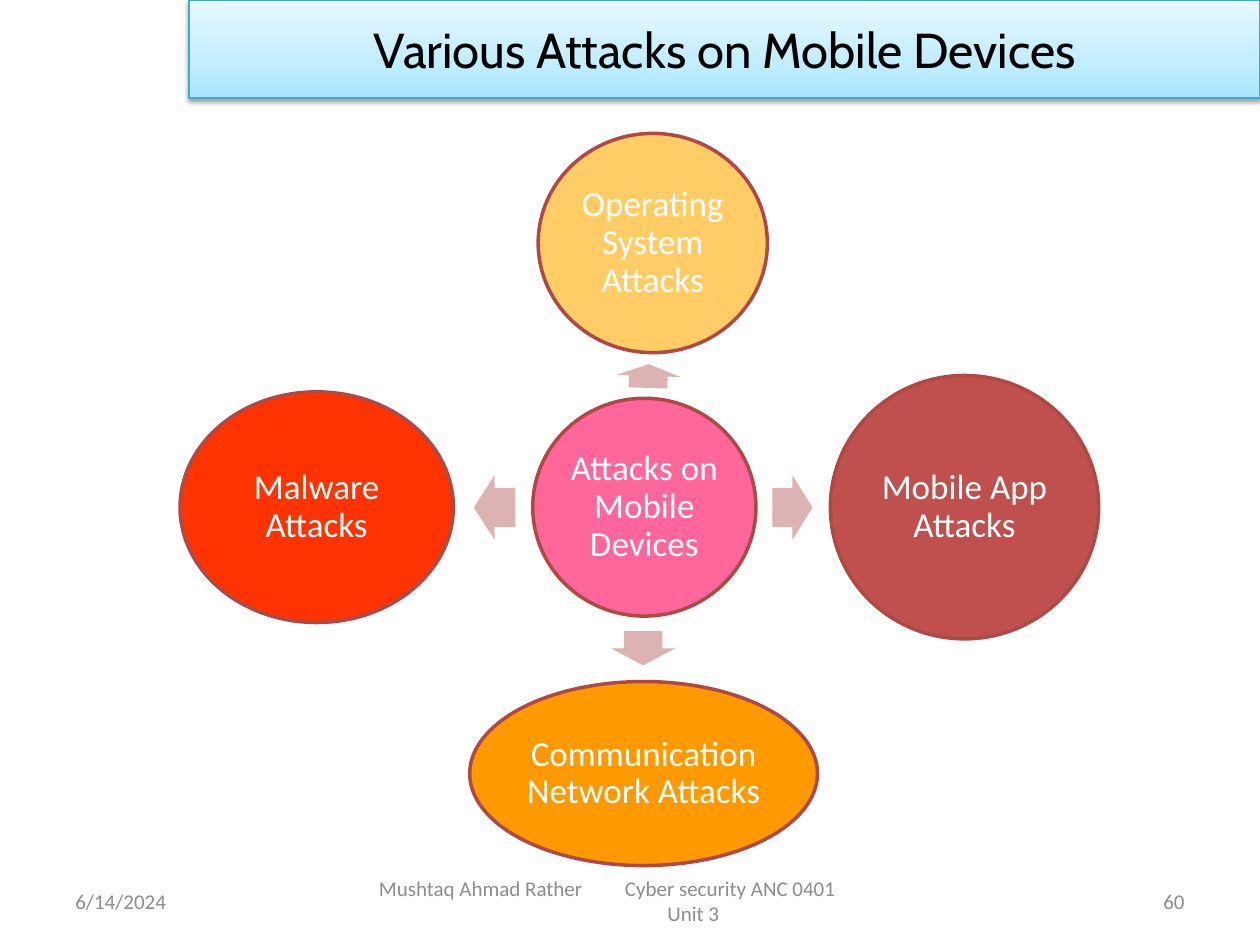
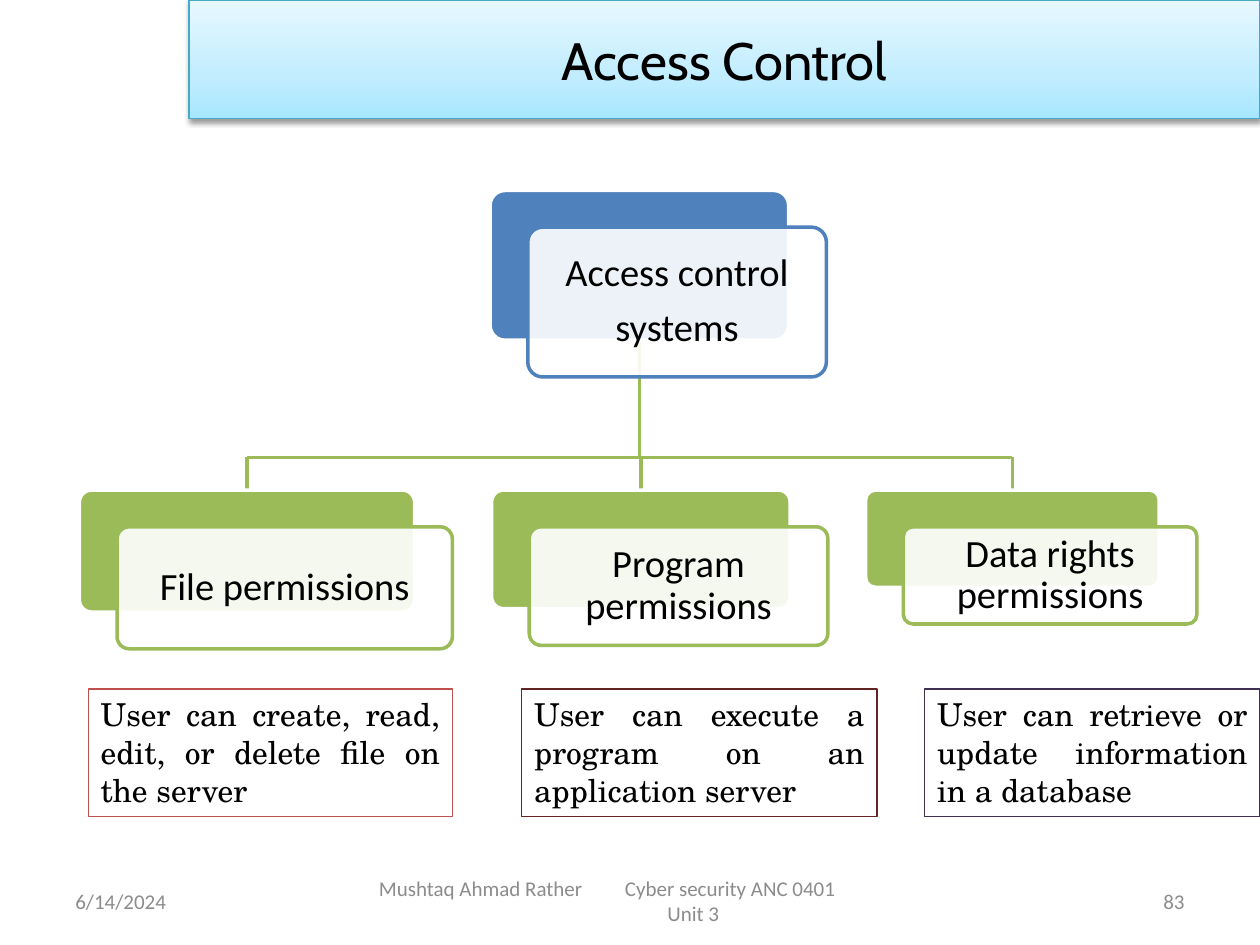
from pptx import Presentation
from pptx.dml.color import RGBColor
from pptx.enum.shapes import MSO_CONNECTOR as Link, MSO_SHAPE as Kind
from pptx.enum.text import MSO_ANCHOR as Anchor, MSO_AUTO_SIZE as Fit, PP_ALIGN as Align
from pptx.oxml import parse_xml
from pptx.oxml.ns import nsdecls, qn
from pptx.util import Cm, Pt

BODY, HEAD, SERIF = "Calibri", "Cabin", "TeX Gyre Schola"
BLACK, WHITE, GREY = "000000", "FFFFFF", "8C8C8C"
BLUE, GREEN, RIM, ARROW, EDGE = "4F81BD", "9BBB59", "AE4946", "DCB3B2", "46AAC5"
SKY = [(0, "A7E6FF"), (35, "C1EDFF"), (100, "E7F8FF")]


def rgb(code):
    """Turn a hex string into a colour."""
    return RGBColor.from_string(code)


def xml(tag, inner):
    """Make a drawing element with the given content."""
    return parse_xml(f"<a:{tag} {nsdecls('a')}>{inner}</a:{tag}>")


def write(shape, lines, size, color, font=BODY, align=Align.CENTER,
          anchor=Anchor.MIDDLE, inset=None, tight=False):
    """Fill a shape with one paragraph per line."""
    frame = shape.text_frame
    frame.word_wrap = True
    frame.vertical_anchor = anchor
    if inset is not None:
        frame.margin_left = frame.margin_right = Cm(inset)
        frame.margin_top = frame.margin_bottom = Cm(inset)
    for i, line in enumerate(lines):
        para = frame.add_paragraph() if i else frame.paragraphs[0]
        para.alignment = align
        if tight:
            para.line_spacing = 0.9
            para.space_after = Pt(size * 0.35)
        run = para.add_run()
        run.text = line
        run.font.size = Pt(size)
        run.font.name = font
        run.font.color.rgb = rgb(color)
    return frame


def draw(slide, kind, box, fill=None, line=None, width=2, adj=(), turn=0):
    """Add a flat preset shape, with its box in centimetres."""
    shape = slide.shapes.add_shape(kind, *map(Cm, box))
    shape.shadow.inherit = False
    shape.rotation = turn
    for i, value in enumerate(adj):
        shape.adjustments[i] = value
    if fill:
        shape.fill.solid()
        shape.fill.fore_color.rgb = rgb(fill)
    else:
        shape.fill.background()
    if line:
        shape.line.color.rgb = rgb(line)
        shape.line.width = Pt(width)
    else:
        shape.line.fill.background()
    return shape


def band(slide, title, height, size):
    """Add the title band with its gradient and shadow."""
    bar = draw(slide, Kind.RECTANGLE, (3.81, 0, 21.59, height), line=EDGE, width=0.75)
    bar.fill.gradient()
    bar.fill.gradient_angle = 90
    props = bar._element.spPr
    stops = "".join(f'<a:gs pos="{pos * 1000}"><a:srgbClr val="{code}"/></a:gs>'
                    for pos, code in SKY)
    grad = props.find(qn("a:gradFill"))
    grad.replace(grad.find(qn("a:gsLst")), xml("gsLst", stops))
    glow = xml("effectLst",
               f'<a:outerShdw blurRad="{Pt(3.1)}" dist="{Pt(1.6)}" dir="5400000" rotWithShape="0">'
               f'<a:srgbClr val="{BLACK}"><a:alpha val="38000"/></a:srgbClr></a:outerShdw>')
    props.replace(props.find(qn("a:effectLst")), glow)
    write(bar, [title], size, BLACK, HEAD)


def foot(slide, page):
    """Add the date, course and page number."""
    parts = [(1.27, 5.92, ["6/14/2024"], Align.LEFT),
             (6.99, 13.97, ["\tMushtaq Ahmad Rather\tCyber security ANC 0401", "Unit 3"],
              Align.CENTER),
             (18.21, 5.92, [str(page)], Align.RIGHT)]
    for left, wide, lines, align in parts:
        box = slide.shapes.add_textbox(Cm(left), Cm(17.65), Cm(wide), Cm(1.02))
        frame = write(box, lines, 12, GREY, align=align)
        if len(lines) > 1:
            first = frame.paragraphs[0]
            first.alignment = Align.LEFT
            tabs = "".join(f'<a:tab pos="{Cm(pos)}" algn="l"/>' for pos in (0.4, 5.36))
            first._p.get_or_add_pPr().append(xml("tabLst", tabs))


def start(deck, title, height, size, page):
    """Add a slide with the shared band and footer."""
    slide = deck.slides.add_slide(deck.slide_layouts[6])
    foot(slide, page)
    band(slide, title, height, size)
    return slide


def disc(slide, text, box, fill):
    """Add a labelled ellipse."""
    shape = draw(slide, Kind.OVAL, box, fill, RIM)
    write(shape, [text], 20, WHITE, inset=0.08, tight=True)


def arrow(slide, left, top, wide, turn):
    """Add a block arrow turned away from the hub."""
    draw(slide, Kind.RIGHT_ARROW, (left, top, wide, 1.3), ARROW, adj=(0.6, 0.5), turn=turn)


def card(slide, lines, box, color):
    """Add a coloured plate with a glassy label and return the plate."""
    left, top, wide, high = box
    plate = draw(slide, Kind.ROUNDED_RECTANGLE, box, color, WHITE, adj=[0.1])
    label = draw(slide, Kind.ROUNDED_RECTANGLE, (left + 0.76, top + 0.74, wide, high),
                 WHITE, color, adj=[0.1])
    tint = label._element.spPr.find(qn("a:solidFill"))[0]
    tint.append(parse_xml(f'<a:alpha {nsdecls("a")} val="90000"/>'))
    write(label, lines, 22, BLACK, inset=0.23, tight=True)
    return plate


def rule(slide, x1, y1, x2, y2):
    """Add a straight tree line."""
    line = slide.shapes.add_connector(Link.STRAIGHT, Cm(x1), Cm(y1), Cm(x2), Cm(y2))
    line.line.color.rgb = rgb(GREEN)
    line.line.width = Pt(2)
    line._element.spPr.append(xml("effectLst", ""))
    return line


def note(slide, text, left, wide, color):
    """Add a framed, justified note."""
    shape = draw(slide, Kind.RECTANGLE, (left, 13.89, wide, 2.57), line=color, width=0.75)
    frame = write(shape, [text], 18, BLACK, SERIF, Align.JUSTIFY, Anchor.TOP)
    frame.auto_size = Fit.SHAPE_TO_FIT_TEXT


def attacks(deck):
    """Build the slide of attacks around a hub."""
    slide = start(deck, "Various Attacks on Mobile Devices", 1.98, 28, 60)
    for text, box, fill in [
            ("Attacks on Mobile Devices", (10.74, 8.03, 4.5, 4.39), "FF6699"),
            ("Operating System Attacks", (10.85, 2.69, 4.62, 4.42), "FFCC66"),
            ("Mobile App Attacks", (16.74, 7.57, 5.41, 5.31), "C0504D"),
            ("Communication Network Attacks", (9.47, 13.74, 7.01, 3.71), "FF9900"),
            ("Malware Attacks", (3.63, 7.9, 5.51, 4.65), "FF3300")]:
        disc(slide, text, box, fill)
    for spot in [(12.83, 6.93, 0.48, 271.8), (15.57, 9.58, 0.81, 0),
                 (12.62, 12.42, 0.69, 90), (9.55, 9.58, 0.84, 180)]:
        arrow(slide, *spot)


def access(deck):
    """Build the slide of the access control tree."""
    slide = start(deck, "Access Control", 2.39, 30, 83)
    root = (9.88, 3.84, 6.02, 3.02)
    top, fork = 9.88, 9.22
    kids = [("File permissions", (1.6, top, 6.76, 2.46)),
            ("Program permissions", (9.91, top, 6.02, 2.39)),
            ("Data rights permissions", (17.45, top, 5.92, 1.96))]
    mids = [box[0] + box[2] / 2 for _, box in kids]
    stem = root[0] + root[2] / 2
    trunk = rule(slide, stem, root[1] + root[3], stem, fork)
    rule(slide, mids[0], fork, mids[-1], fork)
    drops = [rule(slide, mid, fork, mid, top) for mid in mids]
    trunk.begin_connect(card(slide, ["Access control", "systems"], root, BLUE), 2)
    for drop, (text, box) in zip(drops, kids):
        drop.end_connect(card(slide, [text], box, GREEN), 0)
    for text, left, wide, color in [
            ("User can create, read, edit, or delete file on the server", 1.78, 7.34, "C0504D"),
            ("User can execute a program on an application server", 10.52, 7.16, "632523"),
            ("User can retrieve or update information in a database", 18.64, 6.76, "403152")]:
        note(slide, text, left, wide, color)


def main():
    """Build and save the deck."""
    deck = Presentation()
    deck.slide_width, deck.slide_height = Cm(25.4), Cm(19.05)
    attacks(deck)
    access(deck)
    deck.save("out.pptx")


if __name__ == "__main__":
    main()
